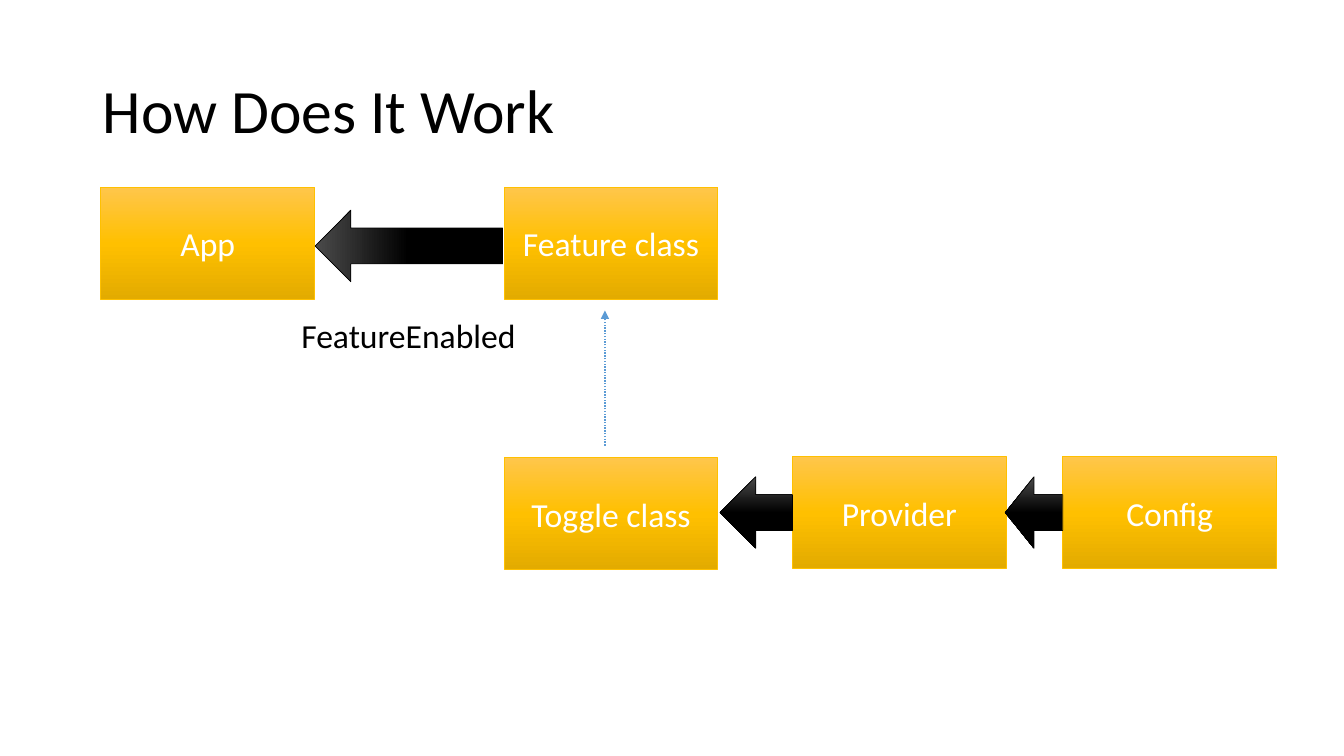
from copy import deepcopy
from dataclasses import dataclass

from lxml.etree import SubElement
from pptx import Presentation
from pptx.dml.color import RGBColor
from pptx.enum.dml import MSO_LINE
from pptx.enum.shapes import MSO_CONNECTOR, MSO_SHAPE
from pptx.enum.text import MSO_ANCHOR, MSO_AUTO_SIZE, PP_ALIGN
from pptx.oxml.ns import qn
from pptx.shapes.autoshape import Shape
from pptx.slide import Slide
from pptx.util import Inches, Pt

BLACK = RGBColor(0x00, 0x00, 0x00)
CHARCOAL = RGBColor(0x4B, 0x4B, 0x4B)
WHITE = RGBColor(0xFF, 0xFF, 0xFF)
GOLD = RGBColor(0xFF, 0xC0, 0x00)
LIGHT_GOLD = RGBColor(0xFF, 0xC6, 0x4B)
DARK_GOLD = RGBColor(0xE3, 0xAB, 0x00)
BLUE = RGBColor(0x5B, 0x9B, 0xD5)

GOLD_SHADES = (LIGHT_GOLD, GOLD, DARK_GOLD)
BLACK_SHADES = (CHARCOAL, BLACK, BLACK)

FONT = "Calibri"
BLOCK_WIDTH, BLOCK_HEIGHT = 2.12, 1.11


@dataclass
class Block:
    label: str
    left: float
    top: float


@dataclass
class BlockArrow:
    preset: MSO_SHAPE
    left: float
    top: float
    width: float
    height: float
    rotation: float = 0


BLOCKS = [
    Block("App", 1, 1.86),
    Block("Feature class", 5, 1.86),
    Block("Toggle class", 5, 4.54),
    Block("Provider", 7.86, 4.53),
    Block("Config", 10.54, 4.53),
]
ARROWS = [
    BlockArrow(MSO_SHAPE.UP_ARROW, 3.7, 1.51, 0.71, 1.86, 270),
    BlockArrow(MSO_SHAPE.LEFT_ARROW, 7.14, 4.73, 0.72, 0.71),
    BlockArrow(MSO_SHAPE.LEFT_ARROW, 9.97, 4.73, 0.57, 0.71),
]


def shade(shape: Shape, shades: tuple[RGBColor, ...]) -> None:
    """Fill from top to bottom with three shades, outlined in the middle one."""
    shape.shadow.inherit = False
    shape.fill.gradient()
    shape.fill.gradient_angle = 270
    stops = shape._element.spPr.find(".//" + qn("a:gsLst"))
    middle_stop = deepcopy(stops[0])
    middle_stop.set("pos", "50000")
    stops.insert(1, middle_stop)
    for stop, color in zip(shape.fill.gradient_stops, shades):
        stop.color.rgb = color
    shape.line.color.rgb = shades[1]
    shape.line.width = Pt(0.5)


def write(shape: Shape, text: str, size: float, color: RGBColor) -> None:
    paragraph = shape.text_frame.paragraphs[0]
    paragraph.text = text
    paragraph.font.name = FONT
    paragraph.font.size = Pt(size)
    paragraph.font.color.rgb = color


def draw_block(slide: Slide, block: Block) -> None:
    shape = slide.shapes.add_shape(
        MSO_SHAPE.RECTANGLE, Inches(block.left), Inches(block.top),
        Inches(BLOCK_WIDTH), Inches(BLOCK_HEIGHT))
    shade(shape, GOLD_SHADES)
    write(shape, block.label, 24, WHITE)
    shape.text_frame.vertical_anchor = MSO_ANCHOR.MIDDLE
    shape.text_frame.paragraphs[0].alignment = PP_ALIGN.CENTER


def draw_arrow(slide: Slide, arrow: BlockArrow) -> None:
    shape = slide.shapes.add_shape(
        arrow.preset, Inches(arrow.left), Inches(arrow.top),
        Inches(arrow.width), Inches(arrow.height))
    shape.rotation = arrow.rotation
    shade(shape, BLACK_SHADES)


def draw_title(slide: Slide) -> None:
    title = slide.shapes.add_textbox(
        Inches(0.92), Inches(0.4), Inches(11.5), Inches(1.45))
    title.text_frame.word_wrap = True
    title.text_frame.vertical_anchor = MSO_ANCHOR.MIDDLE
    write(title, "How Does It Work", 44, BLACK)
    title.text_frame.paragraphs[0].line_spacing = 0.9


def draw_call_label(slide: Slide) -> None:
    call_label = slide.shapes.add_textbox(
        Inches(2.89), Inches(3.08), Inches(2.35), Inches(0.5))
    call_label.text_frame.word_wrap = False
    call_label.text_frame.auto_size = MSO_AUTO_SIZE.SHAPE_TO_FIT_TEXT
    write(call_label, "FeatureEnabled", 24, BLACK)


def draw_inheritance(slide: Slide) -> None:
    inheritance = slide.shapes.add_connector(
        MSO_CONNECTOR.STRAIGHT, Inches(6), Inches(4.42), Inches(6), Inches(3.08))
    inheritance.line.color.rgb = BLUE
    inheritance.line.width = Pt(1)
    inheritance.line.dash_style = MSO_LINE.ROUND_DOT
    properties = inheritance._element.spPr
    SubElement(properties.find(qn("a:ln")), qn("a:tailEnd"), type="triangle")
    SubElement(properties, qn("a:effectLst"))


def main() -> None:
    presentation = Presentation()
    presentation.slide_width = Inches(13.33)
    presentation.slide_height = Inches(7.5)
    slide = presentation.slides.add_slide(presentation.slide_layouts[6])

    draw_title(slide)

    # Classes and the arrows between them
    for block in BLOCKS:
        draw_block(slide, block)
    for arrow in ARROWS:
        draw_arrow(slide, arrow)

    # Call name and dotted link from toggle to feature
    draw_call_label(slide)
    draw_inheritance(slide)

    presentation.save("out.pptx")


if __name__ == "__main__":
    main()
